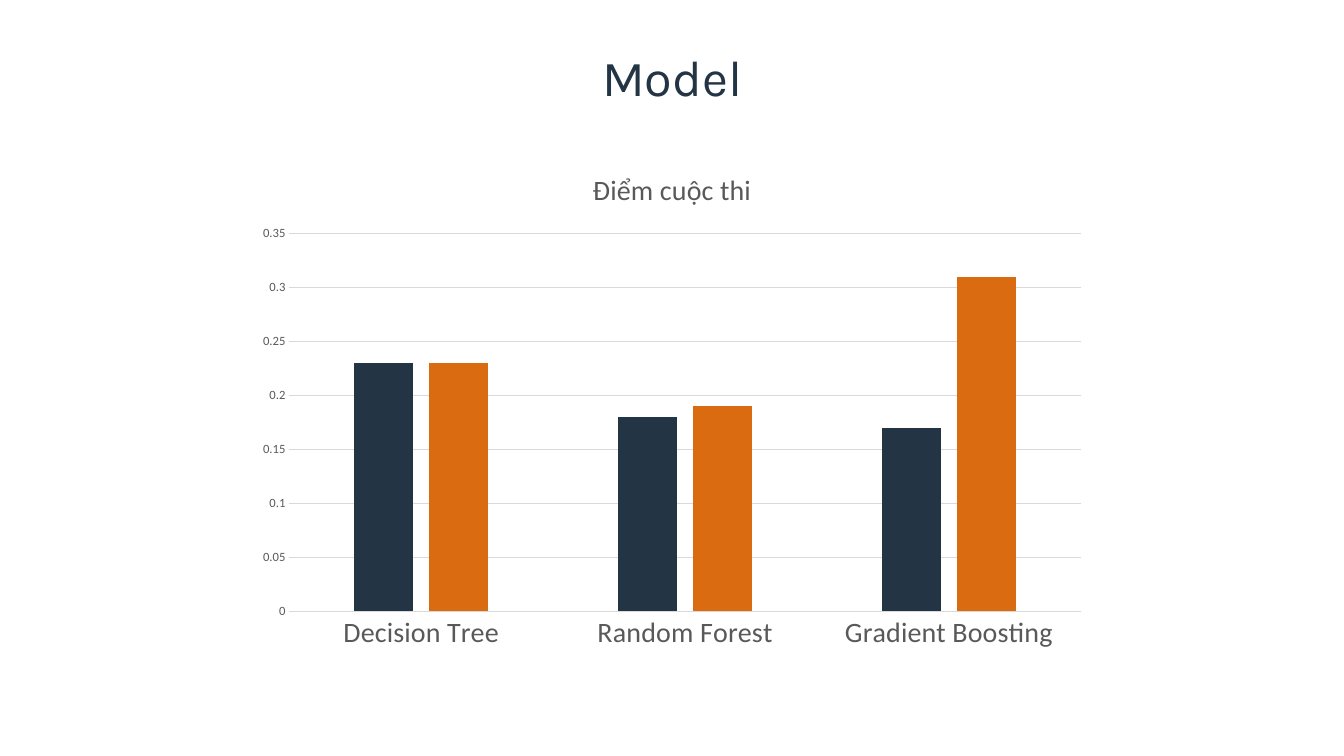
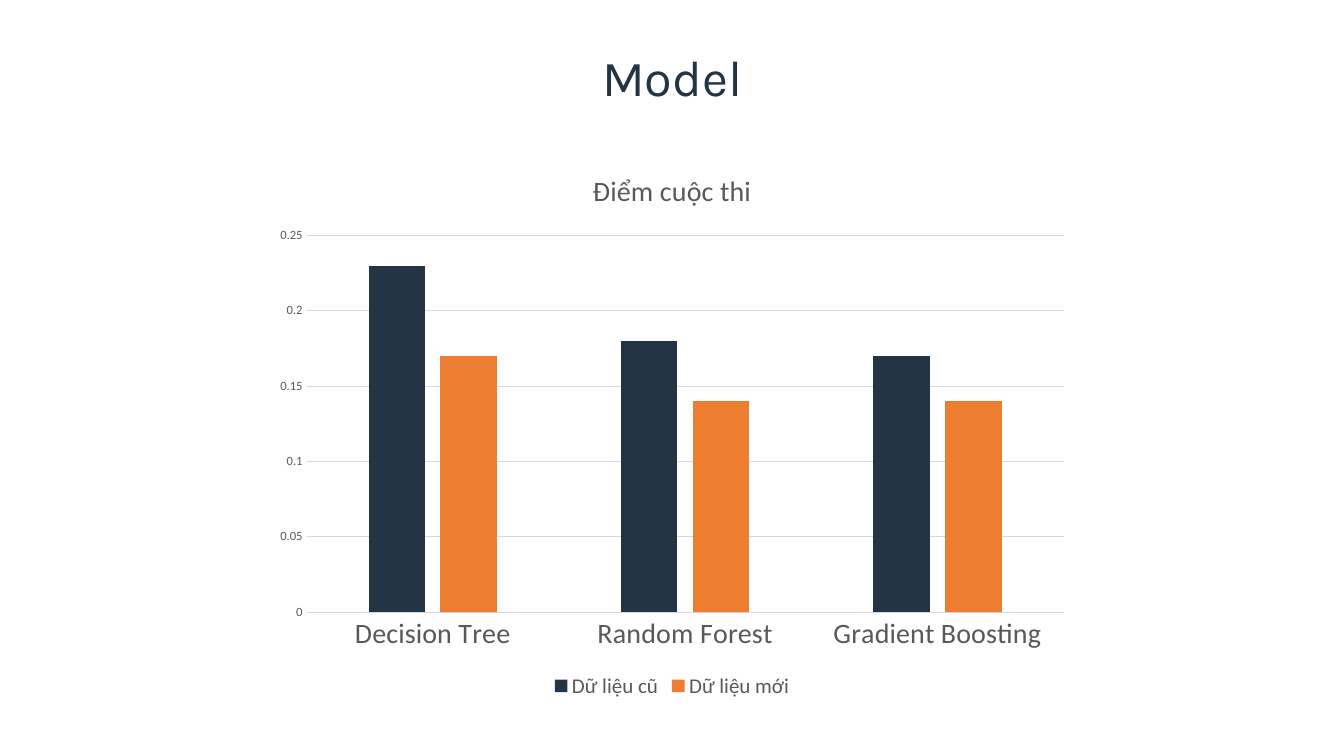
"""Build two slides that compare model scores in column charts."""
from pptx import Presentation
from pptx.chart.data import CategoryChartData
from pptx.dml.color import RGBColor
from pptx.enum import chart as ch, text as tx
from pptx.util import Pt

NAVY = RGBColor(0x23, 0x34, 0x45)
RUST = RGBColor(0xDA, 0x6B, 0x10)
ORANGE = RGBColor(0xED, 0x7D, 0x31)
GREY = RGBColor(0x59, 0x59, 0x59)
RULE = RGBColor(0xD9, 0xD9, 0xD9)
BLACK = RGBColor(0, 0, 0)
HEADING_FONT = "Karla"
CHART_FONT = "Calibri"
MODELS = ["Decision Tree", "Random Forest", "Gradient Boosting"]
OLD_SCORES = [0.23, 0.18, 0.17]


def style_font(font, size, color=GREY, name=CHART_FONT):
    font.size = Pt(size)
    font.name = name
    font.bold = False
    font.color.rgb = color


def write(frame, content, align=tx.PP_ALIGN.CENTER, **style):
    frame.text = content
    paragraph = frame.paragraphs[0]
    paragraph.alignment = align
    style_font(paragraph.runs[0].font, **style)


def rule_line(line):
    line.color.rgb = RULE
    line.width = Pt(0.75)


class Deck:
    def __init__(self):
        self.prs = Presentation()
        self.prs.slide_width, self.prs.slide_height = Pt(960), Pt(540)
        self.slide = None

    def new_slide(self, heading):
        self.slide = self.prs.slides.add_slide(self.prs.slide_layouts[6])
        frame = self.slide.shapes.add_textbox(Pt(219), Pt(33), Pt(522.5), Pt(42.5)).text_frame
        frame.word_wrap = True
        frame.vertical_anchor = tx.MSO_ANCHOR.MIDDLE
        frame.margin_left = frame.margin_right = Pt(7.2)
        frame.margin_top = frame.margin_bottom = Pt(7.2)
        write(frame, heading, size=36, color=NAVY, name=HEADING_FONT)

    def score_chart(self, width, height, series, legend=False):
        data = CategoryChartData()
        data.categories = MODELS
        for name, scores, _ in series:
            data.add_series(name, scores)
        left = (960 - width) / 2
        chart = self.slide.shapes.add_chart(
            ch.XL_CHART_TYPE.COLUMN_CLUSTERED,
            Pt(left), Pt(106.5), Pt(width), Pt(height), data).chart
        style_font(chart.font, 10, BLACK)
        chart.has_title = True
        write(chart.chart_title.text_frame, "Điểm cuộc thi", size=20)
        chart.chart_title.include_in_layout = False

        plot = chart.plots[0]
        plot.gap_width, plot.overlap = 219, -27
        plot.vary_by_categories = False
        for bars, (_, _, color) in zip(plot.series, series):
            bars.format.fill.solid()
            bars.format.fill.fore_color.rgb = color

        for axis, size in ((chart.category_axis, 20), (chart.value_axis, 9)):
            axis.major_tick_mark = axis.minor_tick_mark = ch.XL_TICK_MARK.NONE
            style_font(axis.tick_labels.font, size)
        rule_line(chart.category_axis.format.line)
        chart.value_axis.format.line.fill.background()
        rule_line(chart.value_axis.major_gridlines.format.line)

        chart.has_legend = legend
        if legend:
            chart.legend.position = ch.XL_LEGEND_POSITION.BOTTOM
            chart.legend.include_in_layout = False
            style_font(chart.legend.font, 15)


def main():
    deck = Deck()
    deck.new_slide("Model")
    deck.score_chart(608.5, 365, [
        ("Series 1", OLD_SCORES, NAVY),
        ("Series 2", [0.23, 0.19, 0.31], RUST)])
    deck.new_slide("Model")
    deck.score_chart(583, 395.5, [
        ("Dữ liệu cũ", OLD_SCORES, NAVY),
        ("Dữ liệu mới", [0.17, 0.14, 0.14], ORANGE)], legend=True)
    deck.prs.save("out.pptx")


if __name__ == "__main__":
    main()
